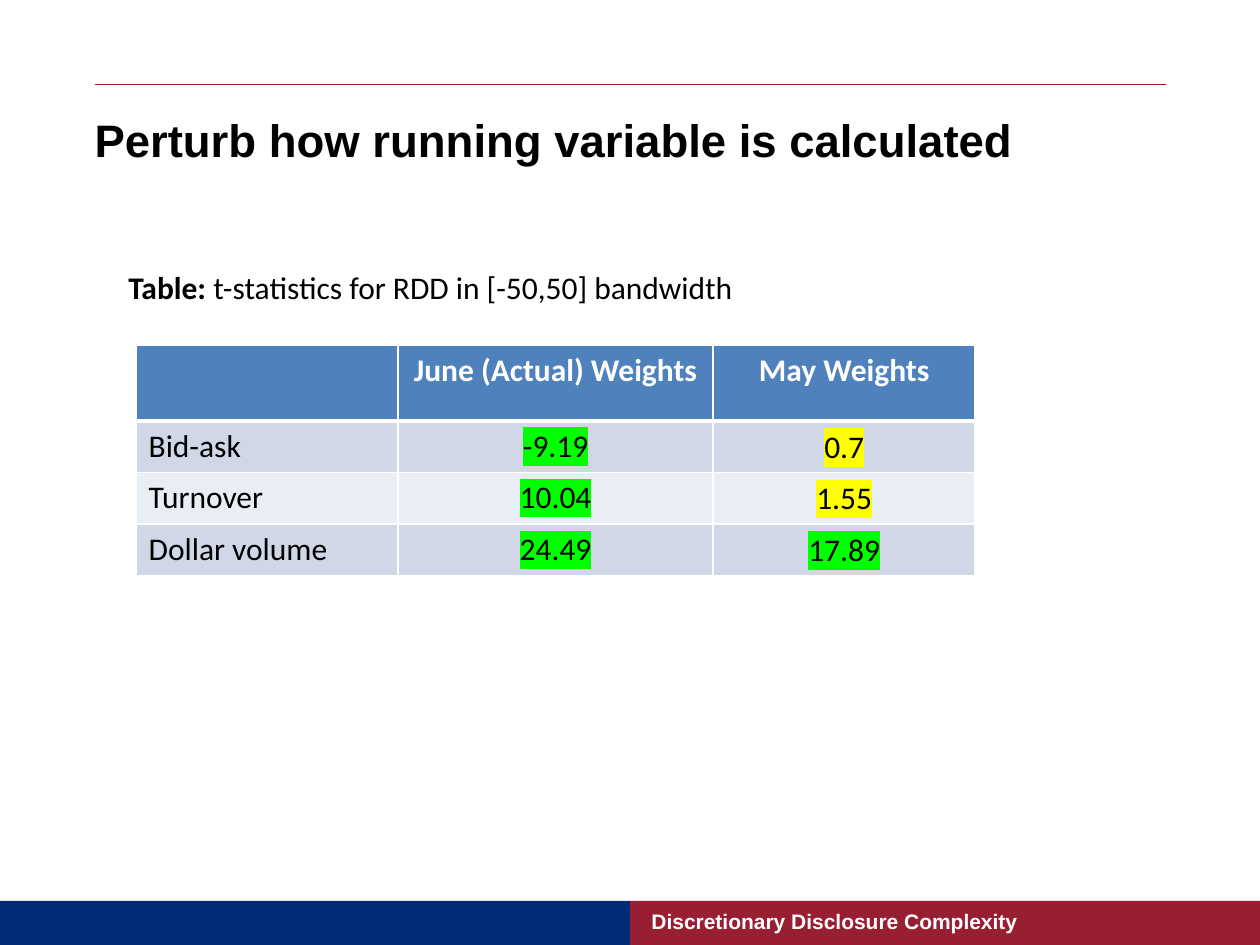
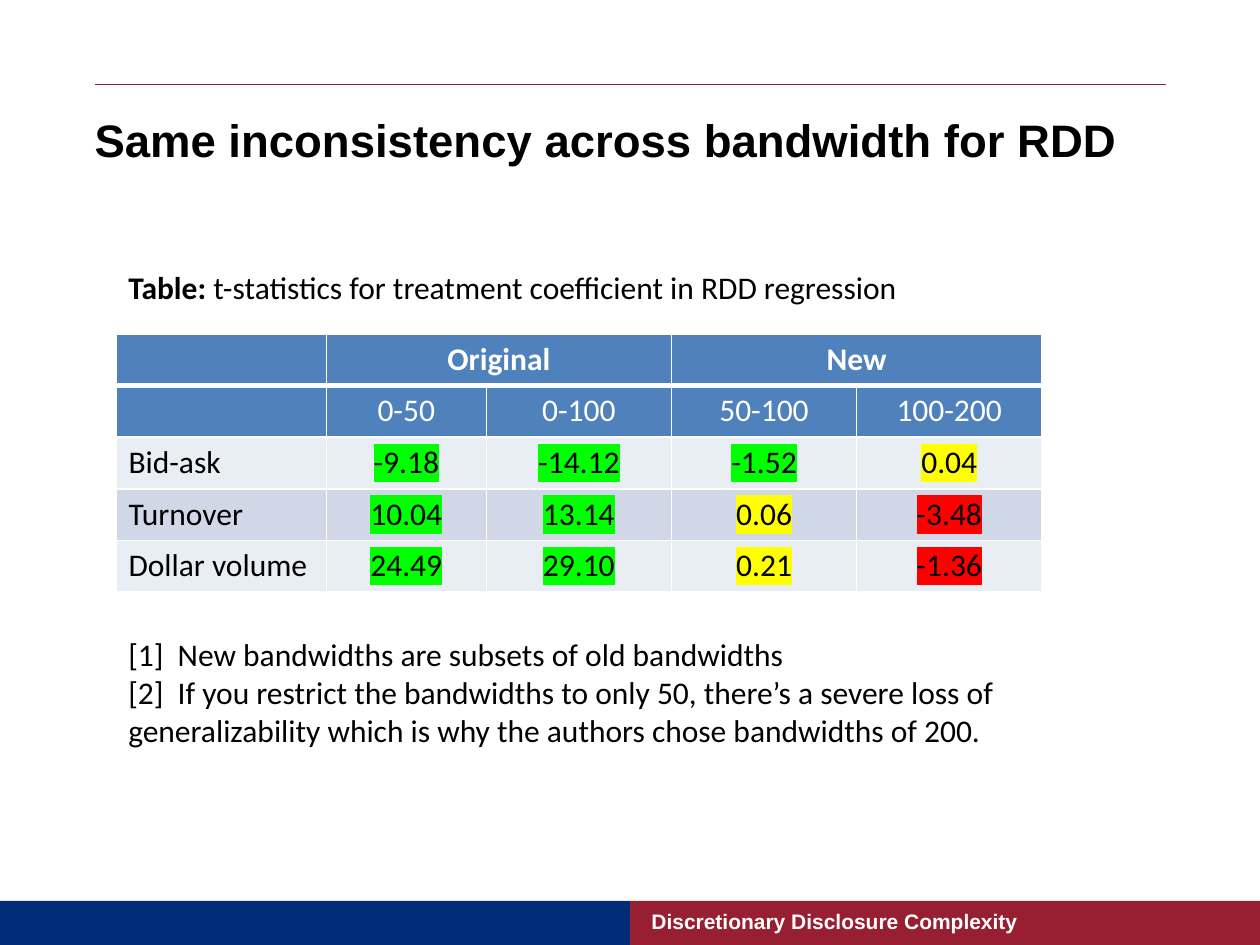
from lxml.etree import SubElement
from pptx import Presentation
from pptx.dml.color import RGBColor
from pptx.enum.shapes import MSO_CONNECTOR, MSO_SHAPE
from pptx.enum.text import MSO_ANCHOR, MSO_AUTO_SIZE, PP_ALIGN
from pptx.oxml import parse_xml
from pptx.oxml.ns import nsdecls, qn
from pptx.util import Inches, Pt

CRIMSON, NAVY, BLACK, WHITE = "981E32", "002C77", "000000", "FFFFFF"
HEADER_FILL = "4F81BD"
BODY_FILLS = ("E9EDF4", "D0D8E8")
GREEN, YELLOW, RED = "00FF00", "FFFF00", "FF0000"
FOOTER = "Discretionary Disclosure Complexity"
LABEL_LEFT, CAPTION_TOP = 0.92, 2.08

SLIDES = [
    {
        "title": "Perturb how running variable is calculated",
        "title_height": 1.01,
        "caption": "t-statistics for RDD in [-50,50] bandwidth",
        "caption_width": 7.17,
        "table_at": (1.08, 2.74),
        "columns": [2.08, 2.5, 2.08],
        "rows": [0.6, 0.41, 0.41, 0.41],
        "headers": [["", "June (Actual) Weights", "May Weights"]],
        "merges": [],
        "tight_columns": [2],
        "body": [
            ("Bid-ask", [("-9.19", GREEN), ("0.7", YELLOW)]),
            ("Turnover", [("10.04", GREEN), ("1.55", YELLOW)]),
            ("Dollar volume", [("24.49", GREEN), ("17.89", GREEN)]),
        ],
        "notes": [],
    },
    {
        "title": "Same inconsistency across bandwidth for RDD",
        "title_height": 0.67,
        "caption": "t-statistics for treatment coefficient in RDD regression",
        "caption_width": 6.92,
        "table_at": (0.92, 2.65),
        "columns": [1.67, 1.27, 1.47, 1.47, 1.47],
        "rows": [0.41] * 5,
        "headers": [["", "Original", "", "New", ""],
                    ["", "0-50", "0-100", "50-100", "100-200"]],
        "merges": [(1, 2), (3, 4)],
        "tight_columns": [],
        "body": [
            ("Bid-ask", [("-9.18", GREEN), ("-14.12", GREEN),
                         ("-1.52", GREEN), ("0.04", YELLOW)]),
            ("Turnover", [("10.04", GREEN), ("13.14", GREEN),
                          ("0.06", YELLOW), ("-3.48", RED)]),
            ("Dollar volume", [("24.49", GREEN), ("29.10", GREEN),
                               ("0.21", YELLOW), ("-1.36", RED)]),
        ],
        "notes": [
            "[1]  New bandwidths are subsets of old bandwidths",
            "[2]  If you restrict the bandwidths to only 50, there’s a severe loss of "
            "generalizability which is why the authors chose bandwidths of 200.",
        ],
    },
]


def color(hex_code):
    return RGBColor.from_string(hex_code)


def add_run(paragraph, text, size=18, font="Calibri", ink=BLACK, bold=False, highlight=None):
    run = paragraph.add_run()
    run.text = text
    run.font.size, run.font.name, run.font.bold = Pt(size), font, bold
    run.font.color.rgb = color(ink)
    if highlight:
        run.font._element.find(qn("a:solidFill")).addnext(parse_xml(
            f'<a:highlight {nsdecls("a")}><a:srgbClr val="{highlight}"/></a:highlight>'))


def set_margins(target, left, top, right, bottom):
    target.margin_left, target.margin_top = Inches(left), Inches(top)
    target.margin_right, target.margin_bottom = Inches(right), Inches(bottom)


def add_text_box(slide, left, top, width, height):
    box = slide.shapes.add_textbox(Inches(left), Inches(top), Inches(width), Inches(height))
    frame = box.text_frame
    frame.word_wrap = True
    return frame


def add_frame(slide):
    """Draw the two footer bands, the top rule and the footer text."""
    for left, fill in ((5, CRIMSON), (0, NAVY)):
        band = slide.shapes.add_shape(MSO_SHAPE.RECTANGLE, Inches(left), Inches(7.15),
                                      Inches(5), Inches(0.35))
        band.shadow.inherit = False
        band.fill.solid()
        band.fill.fore_color.rgb = color(fill)
        band.line.fill.background()
    rule = slide.shapes.add_connector(MSO_CONNECTOR.STRAIGHT, Inches(0.75), Inches(0.67),
                                      Inches(9.25), Inches(0.67))
    rule.line.color.rgb, rule.line.width = color(CRIMSON), Pt(0.5)
    SubElement(rule._element.spPr, qn("a:effectLst"))
    frame = add_text_box(slide, 5.17, 7.15, 3.75, 0.32)
    frame.vertical_anchor = MSO_ANCHOR.MIDDLE
    set_margins(frame, 0, 0, 0, 0)
    add_run(frame.paragraphs[0], FOOTER, 12, "Arial", WHITE, True)


def add_title(slide, text, height):
    title = slide.shapes.title
    title.left, title.top = Inches(0.75), Inches(0.83)
    title.width, title.height = Inches(8.5), Inches(height)
    frame = title.text_frame
    frame.auto_size, frame.vertical_anchor = MSO_AUTO_SIZE.NONE, MSO_ANCHOR.TOP
    set_margins(frame, 0, 0, 0, 0)
    paragraph = frame.paragraphs[0]
    paragraph.alignment, paragraph.line_spacing = PP_ALIGN.LEFT, 1.14
    add_run(paragraph, text, 26, "Arial", BLACK, True)


def set_borders(cell, top, bottom):
    """Give a cell white borders; top and bottom are widths in points."""
    properties = cell._tc.get_or_add_tcPr()
    widths = {"lnL": 1, "lnR": 1, "lnT": top, "lnB": bottom}
    for position, (side, width) in enumerate(widths.items()):
        properties.insert(position, parse_xml(
            f'<a:{side} {nsdecls("a")} w="{Pt(width)}"><a:solidFill>'
            f'<a:srgbClr val="{WHITE}"/></a:solidFill></a:{side}>'))


def add_statistics_table(slide, content):
    headers = [[(text, None) for text in row] for row in content["headers"]]
    body = [[(label, None), *values] for label, values in content["body"]]
    grid = headers + body
    columns, rows = content["columns"], content["rows"]
    left, top = content["table_at"]
    table = slide.shapes.add_table(len(rows), len(columns), Inches(left), Inches(top),
                                   Inches(sum(columns)), Inches(sum(rows))).table
    table.horz_banding = False
    for column, width in zip(table.columns, columns):
        column.width = Inches(width)
    for row, height in zip(table.rows, rows):
        row.height = Inches(height)
    for first, last in content["merges"]:
        table.cell(0, first).merge(table.cell(0, last))

    for row_index, row in enumerate(grid):
        is_header = row_index < len(headers)
        for column_index, (text, highlight) in enumerate(row):
            cell = table.cell(row_index, column_index)
            cell.fill.solid()
            cell.fill.fore_color.rgb = color(HEADER_FILL if is_header else BODY_FILLS[row_index % 2])
            set_borders(cell, 3 if row_index == 1 else 1, 3 if row_index == 0 else 1)
            if not is_header and column_index in content["tight_columns"]:
                set_margins(cell, 0.01, 0.01, 0.01, 0)
                cell.vertical_anchor = MSO_ANCHOR.MIDDLE
            paragraph = cell.text_frame.paragraphs[0]
            if column_index > 0:
                paragraph.alignment = PP_ALIGN.CENTER
            if text:
                add_run(paragraph, text, ink=WHITE if is_header else BLACK,
                        bold=row_index == 0, highlight=highlight)


def add_caption(slide, text, width):
    frame = add_text_box(slide, LABEL_LEFT, CAPTION_TOP, width, 0.4)
    frame.auto_size = MSO_AUTO_SIZE.SHAPE_TO_FIT_TEXT
    add_run(frame.paragraphs[0], "Table: ", bold=True)
    add_run(frame.paragraphs[0], text)


def add_notes_below(slide, notes):
    frame = add_text_box(slide, LABEL_LEFT, 4.99, 7.83, 1.01)
    frame.auto_size = MSO_AUTO_SIZE.SHAPE_TO_FIT_TEXT
    for index, note in enumerate(notes):
        paragraph = frame.add_paragraph() if index else frame.paragraphs[0]
        add_run(paragraph, note)


def main():
    presentation = Presentation()
    presentation.slide_width, presentation.slide_height = Inches(10), Inches(7.5)
    title_only = presentation.slide_layouts[5]
    for content in SLIDES:
        slide = presentation.slides.add_slide(title_only)
        add_frame(slide)
        add_title(slide, content["title"], content["title_height"])
        add_statistics_table(slide, content)
        if content["notes"]:
            add_notes_below(slide, content["notes"])
        add_caption(slide, content["caption"], content["caption_width"])
    presentation.save("out.pptx")


if __name__ == "__main__":
    main()
